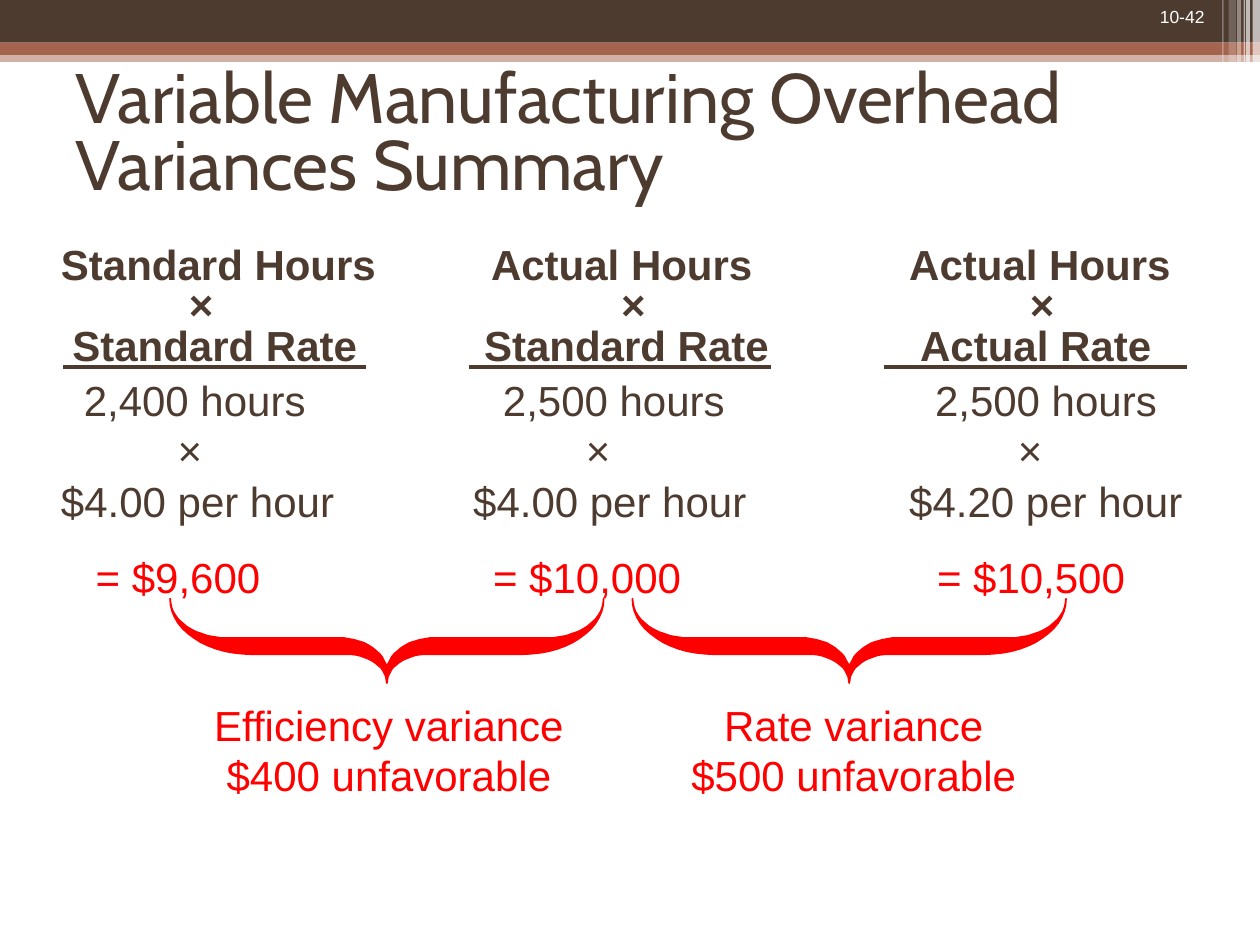
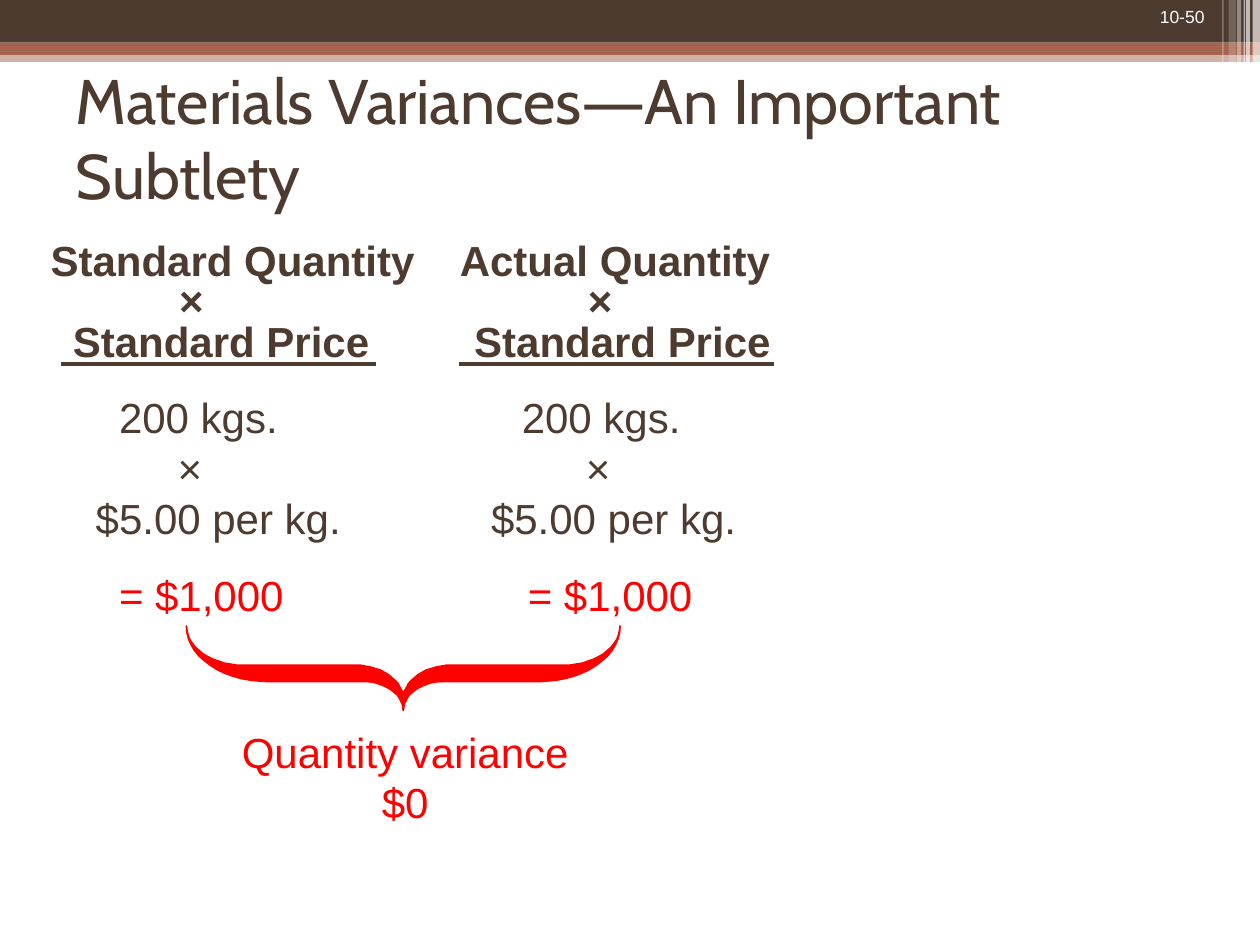
import math
from dataclasses import dataclass

from lxml import etree
from pptx import Presentation
from pptx import util as u
from pptx.dml.color import RGBColor
from pptx.enum import shapes, text
from pptx.oxml.ns import qn

Cm, Pt = u.Cm, u.Pt
BROWN, RUST, WHITE, RED = "4E3B30", "A5644E", "FFFFFF", "FF0000"
BODY_FONT, TITLE_FONT = "Arial", "Cabin"
INSET = 0.25


@dataclass(frozen=True)
class Box:
    left: float
    top: float
    width: float
    height: float

    def lengths(self) -> tuple:
        return Cm(self.left), Cm(self.top), Cm(self.width), Cm(self.height)


@dataclass(frozen=True)
class Band:
    box: Box
    color: str = WHITE
    opacity: int = 100
    rounded: bool = False


@dataclass(frozen=True)
class Row:
    """One line of column entries, each starting at its own left edge."""
    lefts: tuple[float, ...]
    entries: tuple[str, ...]
    color: str = BROWN
    space_before: float = 0


@dataclass(frozen=True)
class Variance:
    center: float
    label_left: float
    lines: tuple[str, ...]


@dataclass(frozen=True)
class VarianceSlide:
    number: str
    title: str
    title_size: float
    title_spacing: float
    heading_box: Box
    headings: tuple[Row, ...]
    rule_lefts: tuple[float, ...]
    rule_top: float
    rule_width: float
    values_box: Box
    values: tuple[Row, ...]
    brace_top: float
    variances: tuple[Variance, ...]


BANDS = (
    Band(Box(0, 1.02, 25.4, 0.23), RUST, 50),
    Band(Box(0, 0, 25.4, 0.86), BROWN),
    Band(Box(0, 0.86, 25.4, 0.25), RUST),
    Band(Box(15.01, 1.37, 8.51, 0.08), rounded=True),
    Band(Box(20.47, 1.63, 4.45, 0.1), rounded=True),
    Band(Box(25.25, 0, 0.15, 1.73), opacity=65),
    Band(Box(25.12, 0, 0.08, 1.73), opacity=65),
    Band(Box(25.07, 0, 0.03, 1.73), opacity=60),
    Band(Box(24.94, 0, 0.08, 1.73), opacity=40),
    Band(Box(24.77, 0, 0.15, 1.63), opacity=20),
    Band(Box(24.64, 0, 0.03, 1.63), opacity=30),
)

SLIDES = (
    VarianceSlide(
        number="10-42",
        title="Variable Manufacturing Overhead Variances Summary",
        title_size=40,
        title_spacing=0.8,
        heading_box=Box(0.74, 4.88, 24.33, 2.69),
        headings=(
            Row((1.23, 9.9, 18.33), ("Standard Hours", "Actual Hours", "Actual Hours")),
            Row((3.81, 12.52, 20.76), ("×",) * 3),
            Row((1.46, 9.76, 18.55), ("Standard Rate", "Standard Rate", "Actual Rate")),
        ),
        rule_lefts=(1.27, 9.45, 17.83),
        rule_top=7.39,
        rule_width=6.1,
        values_box=Box(0.74, 7.42, 23.9, 4.85),
        values=(
            Row((1.69, 10.14, 18.85), ("2,400 hours", "2,500 hours", "2,500 hours")),
            Row((3.58, 11.81, 20.52), ("×",) * 3),
            Row((1.23, 9.54, 18.33),
                ("$4.00 per hour", "$4.00 per hour", "$4.20 per hour")),
            Row((1.93, 9.94, 18.89), ("= $9,600", "= $10,000", "= $10,500"), RED, 15),
        ),
        brace_top=12.07,
        variances=(
            Variance(7.8, 2.44, ("Efficiency variance", "$400 unfavorable")),
            Variance(17.12, 11.81, ("Rate variance", "$500 unfavorable")),
        ),
    ),
    VarianceSlide(
        number="10-50",
        title="Materials Variances―An Important Subtlety",
        title_size=36,
        title_spacing=1.0,
        heading_box=Box(0.53, 4.8, 24.33, 2.69),
        headings=(
            Row((1.02, 9.27), ("Standard Quantity", "Actual Quantity")),
            Row((3.61, 11.85), ("×",) * 2),
            Row((1.47, 9.56), ("Standard Price",) * 2),
        ),
        rule_lefts=(1.22, 9.25),
        rule_top=7.34,
        rule_width=6.35,
        values_box=Box(0.74, 7.77, 23.9, 4.85),
        values=(
            Row((2.4, 10.52), ("200 kgs.",) * 2),
            Row((3.58, 11.81), ("×",) * 2),
            Row((1.93, 9.9), ("$5.00 per kg.",) * 2),
            Row((2.4, 10.64), ("= $1,000",) * 2, RED, 15),
        ),
        brace_top=12.62,
        variances=(Variance(8.13, 2.77, ("Quantity variance", "$0")),),
    ),
)


def rgb(color: str) -> RGBColor:
    return RGBColor.from_string(color)


def write(p, content: str, *, size: float = 24, color: str = BROWN,
          bold: bool = False, font: str = BODY_FONT,
          align=text.PP_ALIGN.LEFT, spacing: float = 1.0, before: float = 0) -> None:
    """Put one formatted run into paragraph p."""
    p.alignment, p.line_spacing, p.space_before = align, spacing, Pt(before)
    r = p.add_run()
    r.text = content
    r.font.name, r.font.size, r.font.bold = font, Pt(size), bold
    r.font.color.rgb = rgb(color)


def add_frame(slide, box: Box):
    tf = slide.shapes.add_textbox(*box.lengths()).text_frame
    tf.word_wrap = True
    return tf


def next_paragraph(tf, index: int):
    return tf.paragraphs[0] if index == 0 else tf.add_paragraph()


def add_rows(slide, box: Box, rows: tuple[Row, ...], **style) -> None:
    """Write each row as a paragraph whose tab stops place its entries."""
    tf = add_frame(slide, box)
    for i, row in enumerate(rows):
        p = next_paragraph(tf, i)
        tabs = etree.SubElement(p._p.get_or_add_pPr(), qn("a:tabLst"))
        for left in row.lefts:
            pos = Cm(left - box.left - INSET)
            etree.SubElement(tabs, qn("a:tab"), pos=str(pos), algn="l")
        write(p, "".join("\t" + entry for entry in row.entries),
              color=row.color, before=row.space_before, **style)


def add_band(slide, band: Band):
    kind = shapes.MSO_SHAPE.ROUNDED_RECTANGLE if band.rounded else shapes.MSO_SHAPE.RECTANGLE
    sp = slide.shapes.add_shape(kind, *band.box.lengths())
    sp.shadow.inherit = False
    sp.line.fill.background()
    sp.fill.solid()
    sp.fill.fore_color.rgb = rgb(band.color)
    if band.opacity < 100:
        color = sp.element.spPr.find(".//" + qn("a:srgbClr"))
        etree.SubElement(color, qn("a:alpha"), val=str(band.opacity * 1000))
    return sp


def add_rule(slide, left: float, top: float, width: float) -> None:
    line = slide.shapes.add_connector(
        shapes.MSO_CONNECTOR.STRAIGHT, Cm(left), Cm(top), Cm(left + width), Cm(top))
    line.line.color.rgb = rgb(BROWN)
    line.line.width = Pt(2.25)
    etree.SubElement(line.element.spPr, qn("a:effectLst"))


def arc(cx: float, cy: float, rx: float, ry: float, start: int, end: int) -> list:
    """Points of an elliptical quarter, angles in degrees with y downwards."""
    steps = 14
    angles = [math.radians(start + (end - start) * i / steps) for i in range(steps + 1)]
    return [(cx + rx * math.cos(a), cy + ry * math.sin(a)) for a in angles]


def add_brace(slide, center: float, top: float) -> None:
    """Draw a downward brace from the mirrored outline of its right half."""
    lower = arc(0.81, 1.7, 0.81, 0.58, 180, 270) + arc(2.72, 0, 1.65, 1.12, 90, 0)
    upper = arc(3.23, 0, 1.14, 0.79, 0, 90) + arc(0.99, 1.47, 0.99, 0.68, 270, 180)
    right = lower + upper
    left = [(-x, y) for x, y in reversed(right)]
    points = [((center + x) * 100, (top + y) * 100) for x, y in right + left]
    builder = slide.shapes.build_freeform(*points[0], scale=Cm(0.01))
    builder.add_line_segments(points[1:])
    sp = builder.convert_to_shape()
    sp.shadow.inherit = False
    sp.fill.solid()
    sp.fill.fore_color.rgb = rgb(RED)
    sp.line.color.rgb = rgb(RED)
    sp.line.width = Pt(1)


def add_variance(slide, variance: Variance, top: float) -> None:
    add_brace(slide, variance.center, top)
    tf = add_frame(slide, Box(variance.label_left, top + 1.9, 10.8, 2.29))
    for i, line in enumerate(variance.lines):
        write(next_paragraph(tf, i), line, color=RED, align=text.PP_ALIGN.CENTER)


def set_title(slide, content: VarianceSlide) -> None:
    sp = slide.shapes.title
    sp.left, sp.top, sp.width, sp.height = Box(1.27, 1.27, 22.86, 2.97).lengths()
    tf = sp.text_frame
    tf.auto_size = text.MSO_AUTO_SIZE.NONE
    tf.vertical_anchor = text.MSO_ANCHOR.MIDDLE
    write(tf.paragraphs[0], content.title, size=content.title_size,
          font=TITLE_FONT, spacing=content.title_spacing)


def add_variance_slide(prs, layout, content: VarianceSlide):
    slide = prs.slides.add_slide(layout)
    set_title(slide, content)
    write(add_frame(slide, Box(21.79, 0, 2.74, 0.69)).paragraphs[0], content.number,
          size=10, color=WHITE, align=text.PP_ALIGN.RIGHT)
    add_rows(slide, content.values_box, content.values)
    for variance in content.variances:
        add_variance(slide, variance, content.brace_top)
    add_rows(slide, content.heading_box, content.headings, bold=True, spacing=0.8)
    for left in content.rule_lefts:
        add_rule(slide, left, content.rule_top, content.rule_width)
    return slide


def main() -> None:
    prs = Presentation()
    prs.slide_width, prs.slide_height = Cm(25.4), Cm(19.05)
    layout = prs.slide_layouts[5]
    slides = [add_variance_slide(prs, layout, content) for content in SLIDES]
    for band in BANDS:  # the layout holds the bands, behind every slide's content
        layout.shapes.element.append(add_band(slides[0], band).element)
    prs.save("out.pptx")


if __name__ == "__main__":
    main()
